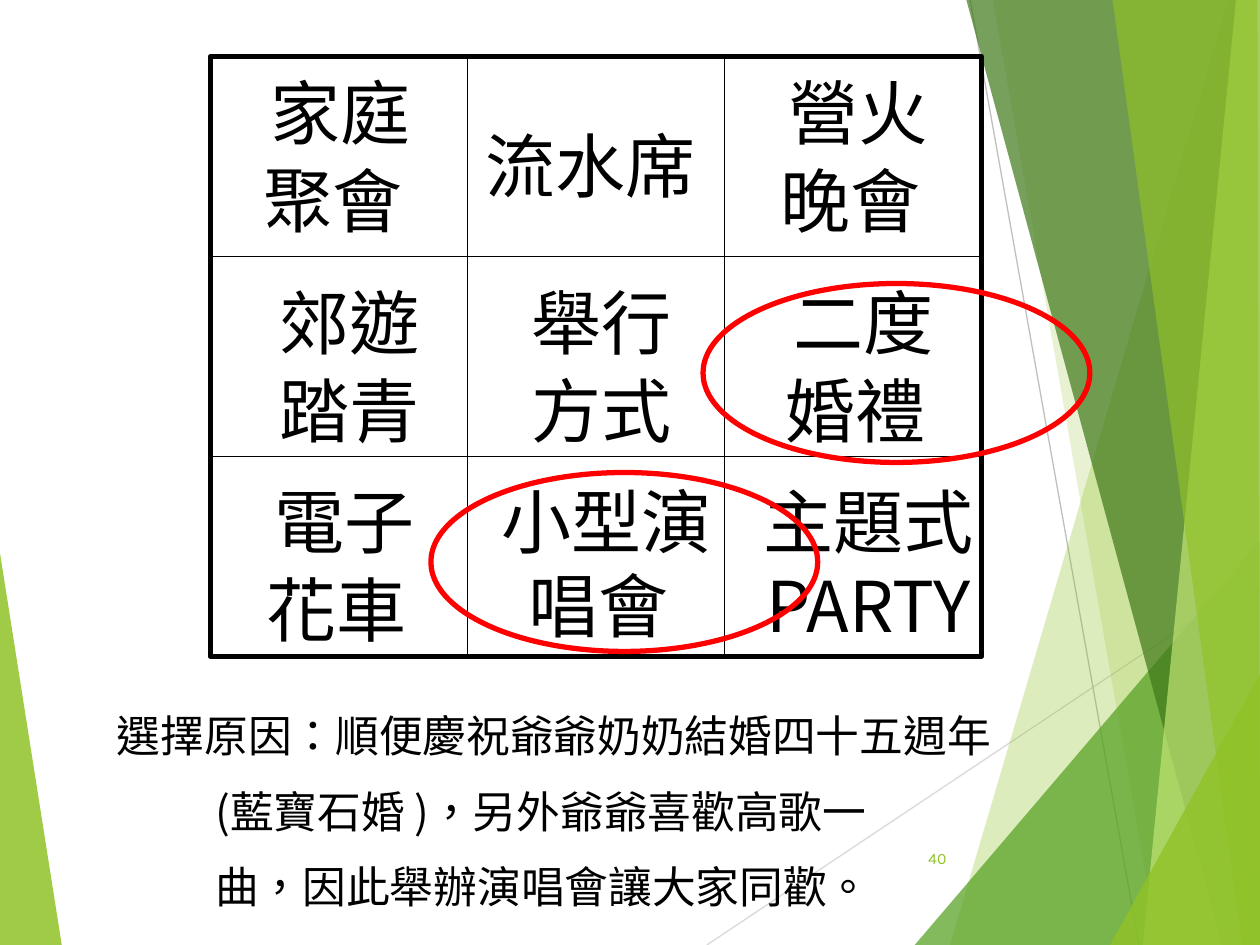
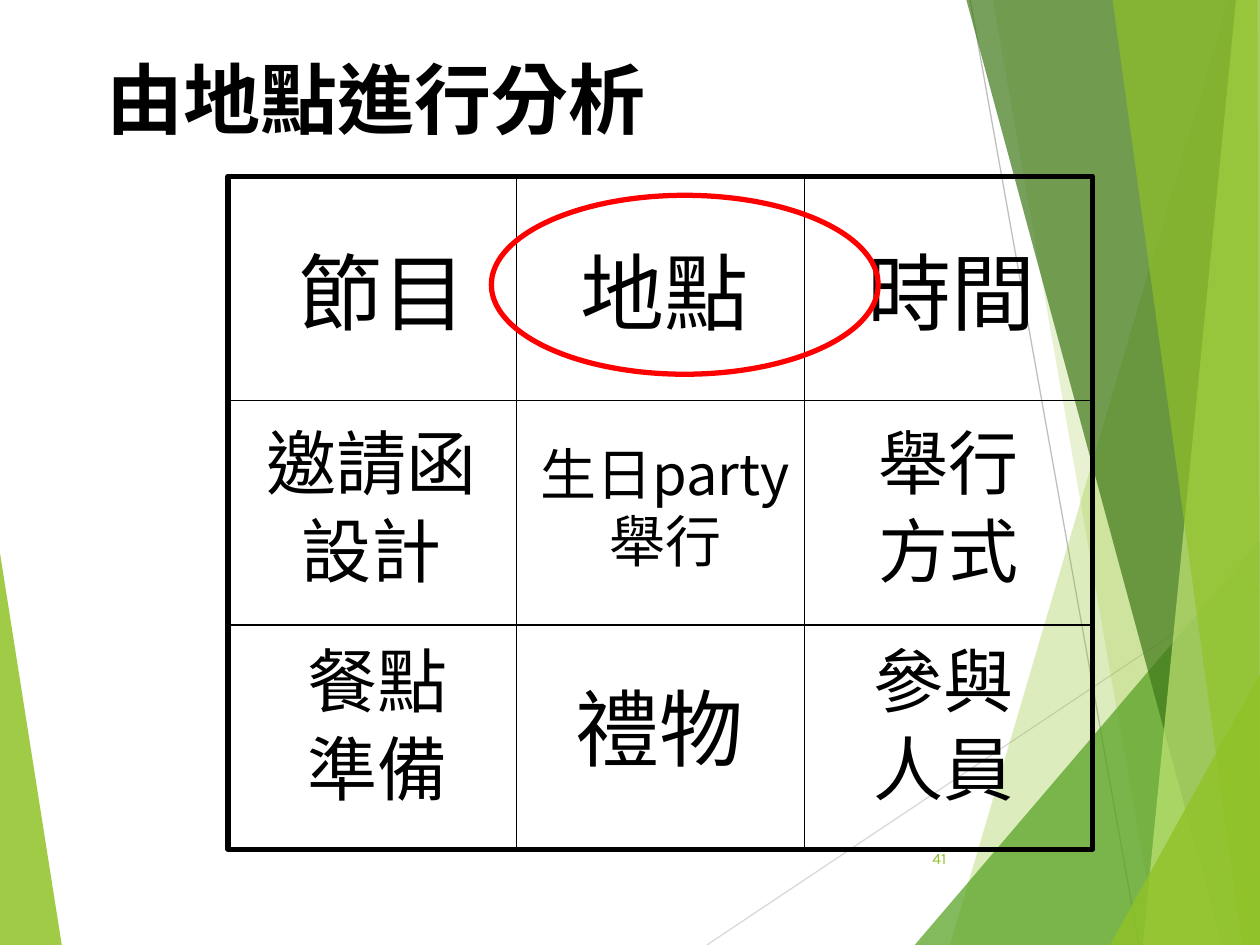
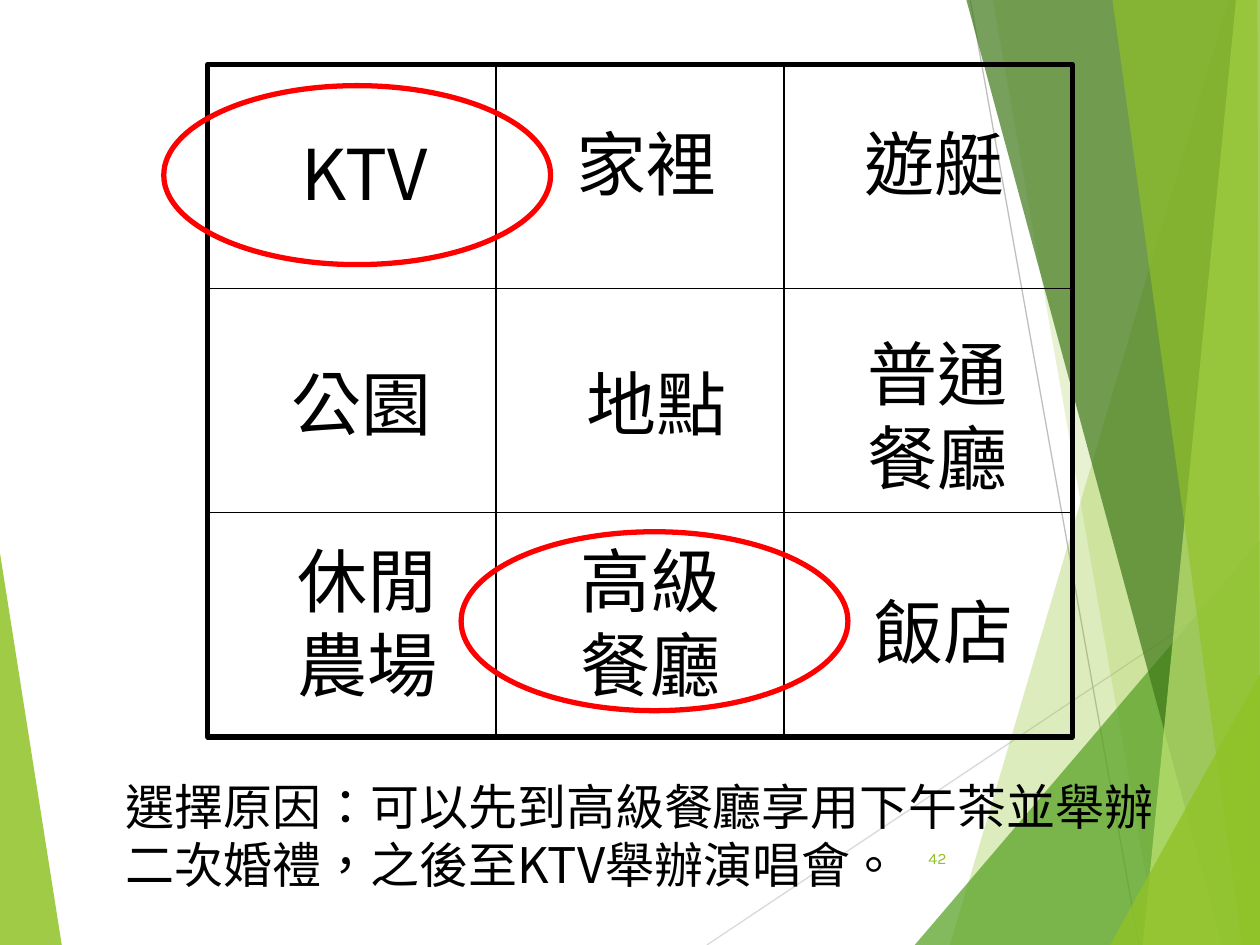
from lxml import etree
from pptx import Presentation
from pptx.dml.color import RGBColor
from pptx.enum.shapes import MSO_CONNECTOR, MSO_SHAPE
from pptx.enum.text import MSO_ANCHOR, MSO_AUTO_SIZE, PP_ALIGN
from pptx.oxml.ns import qn
from pptx.util import Inches, Pt

CJK_FONT = "Noto Sans CJK SC"
BLACK, RED, LIME = "000000", "FF0000", "90C226"
GREEN, DARK_GREEN, PALE_GREEN = "54A021", "3F7819", "C0E474"
RING_SIZE = (3.07, 1.42)

# Outline points, colour, opacity in percent
LEFT_FACET = ([(0, 4.39), (0.49, 7.5), (0, 7.5)], LIME, 85)
RIGHT_FACETS = [
    ([(9.75, 0), (7.54, 7.5), (10, 7.5), (10, 0)], LIME, 30),
    ([(7.88, 0), (9.19, 7.5), (10, 7.5), (10, 0)], LIME, 20),
    ([(7.26, 7.5), (10, 4.29), (10, 7.5)], GREEN, 72),
    ([(7.67, 0), (9.7, 7.5), (10, 7.5), (10, 0)], DARK_GREEN, 70),
    ([(9.81, 0), (9.07, 7.5), (10, 7.5), (10, 0)], PALE_GREEN, 70),
    ([(8.83, 0), (9.86, 7.5), (10, 7.5), (9.98, 0)], LIME, 65),
    ([(8.81, 7.5), (10, 5.35), (10, 7.5)], LIME, 80),
]

# Text, box (left, top, width, height), size
METHOD_CELLS = [
    ("營火\n晚會 ", (5.83, 0.5, 1.97, 1.47), 40),
    ("流水席 ", (3.75, 0.92, 2, 0.77), 40),
    ("郊遊\n踏青", (1.67, 2.17, 2.2, 1.47), 40),
    ("家庭\n聚會 ", (1.92, 0.5, 1.57, 1.47), 40),
    ("電子\n花車 ", (1.67, 3.75, 2.13, 1.47), 40),
    ("小型演唱會 ", (3.67, 3.75, 2.28, 1.43), 40),
    ("主題式PARTY", (5.83, 3.75, 2.13, 1.43), 40),
    ("二度\n婚禮 ", (5.75, 2.17, 2.21, 1.47), 40),
    ("舉行\n方式", (3.67, 2.17, 2.21, 1.47), 40),
]
PARTY_CELLS = [
    ("時間", (6.57, 1.86, 1.97, 0.9), 48),
    ("地點", (4.29, 1.86, 1.97, 0.9), 48),
    ("邀請函\n設計", (1.85, 3.28, 2.2, 1.47), 40),
    ("節目", (2.09, 1.86, 1.89, 0.9), 48),
    ("餐點\n準備", (1.93, 5.01, 2.13, 1.47), 40),
    ("禮物", (4.21, 5.32, 2.05, 0.9), 48),
    ("參與\n人員", (6.42, 5.01, 2.13, 1.47), 40),
    ("舉行\n方式", (6.42, 3.28, 2.21, 1.47), 40),
    ("生日party舉行", (4.06, 3.44, 2.44, 1.17), 32),
]
PLACE_CELLS = [
    ("遊艇", (6.58, 0.91, 1.68, 0.75), 40),
    ("家裡", (4.29, 0.91, 1.68, 0.75), 40),
    ("公園", (1.93, 2.81, 1.88, 0.75), 40),
    ("KTV", (2.09, 0.99, 1.61, 0.75), 40),
    ("休閒\n農場", (2.01, 4.22, 1.81, 1.42), 40),
    ("高級餐廳", (4.29, 4.22, 1.74, 1.42), 40),
    ("飯店", (6.58, 4.62, 1.81, 0.75), 40),
    ("普通\n餐廳", (6.5, 2.57, 1.88, 1.42), 40),
    ("地點", (4.37, 2.81, 1.68, 0.75), 40),
]


def rgb(value):
    return RGBColor.from_string(value)


def add_text(slide, text, box, size=40, font=CJK_FONT, color=BLACK, bold=False,
             align=PP_ALIGN.LEFT, anchor=MSO_ANCHOR.TOP, gap=0, hang=0, grow=True):
    """Add one paragraph per line; gap (points) and hang (inches) apply after the first."""
    frame = slide.shapes.add_textbox(*map(Inches, box)).text_frame
    frame.word_wrap = True
    frame.auto_size = MSO_AUTO_SIZE.SHAPE_TO_FIT_TEXT if grow else MSO_AUTO_SIZE.NONE
    frame.vertical_anchor = anchor
    for index, line in enumerate(text.split("\n")):
        paragraph = frame.add_paragraph() if index else frame.paragraphs[0]
        paragraph.alignment = align
        if index:
            paragraph.space_before = Pt(gap)
            paragraph._p.get_or_add_pPr().set("marL", str(Inches(hang)))
        run = paragraph.add_run()
        run.text = line
        run.font.size, run.font.name, run.font.bold = Pt(size), font, bold
        run.font.color.rgb = rgb(color)
        properties = run._r.get_or_add_rPr()
        properties.set("lang", "zh-TW")
        latin = properties.find(qn("a:latin"))
        east_asian = etree.Element(qn("a:ea"), typeface=CJK_FONT)
        latin.addnext(east_asian)


def add_line(slide, start, end, color=BLACK):
    line = slide.shapes.add_connector(
        MSO_CONNECTOR.STRAIGHT, *map(Inches, (*start, *end)))
    line.line.color.rgb = rgb(color)
    line.line.width = Pt(0.75)
    etree.SubElement(line._element.spPr, qn("a:effectLst"))


def add_outline(slide, kind, box, color):
    shape = slide.shapes.add_shape(kind, *map(Inches, box))
    shape.shadow.inherit = False
    shape.fill.background()
    shape.line.color.rgb = rgb(color)
    shape.line.width = Pt(3)


def add_facet(slide, points, color, opacity):
    start, *others = [(Inches(x), Inches(y)) for x, y in points]
    builder = slide.shapes.build_freeform(*start)
    builder.add_line_segments(others, close=True)
    shape = builder.convert_to_shape()
    shape.shadow.inherit = False
    shape.line.fill.background()
    shape.fill.solid()
    shape.fill.fore_color.rgb = rgb(color)
    color_element = shape._element.spPr.find(".//" + qn("a:srgbClr"))
    etree.SubElement(color_element, qn("a:alpha"), val=str(opacity * 1000))


def add_base_slide(presentation, number):
    """Add a slide with the shared green facets and its page number."""
    slide = presentation.slides.add_slide(presentation.slide_layouts[6])
    add_facet(slide, *LEFT_FACET)
    add_line(slide, (5.61, 7.5), (10, 4.57), "D9D9D9")
    add_line(slide, (7.7, 0), (9.04, 7.5), "BFBFBF")
    for facet in RIGHT_FACETS:
        add_facet(slide, *facet)
    add_text(slide, str(number), (7.05, 6.61, 0.56, 0.4), size=9, font="Karla",
             color=LIME, align=PP_ALIGN.RIGHT, anchor=MSO_ANCHOR.MIDDLE, grow=False)
    return slide


def add_nine_grid(slide, box, cells, rings, gap=2.4):
    """Draw a three by three frame, its labels and the red rings around choices."""
    left, top, width, height = box
    add_outline(slide, MSO_SHAPE.RECTANGLE, box, BLACK)
    for third in (1, 2):
        y = top + height * third / 3
        add_line(slide, (left, y), (left + width, y))
    for third in (1, 2):
        x = left + width * third / 3
        add_line(slide, (x, top), (x, top + height))
    for text, cell_box, size in cells:
        add_text(slide, text, cell_box, size=size, align=PP_ALIGN.CENTER, gap=gap)
    for corner in rings:
        add_outline(slide, MSO_SHAPE.OVAL, (*corner, *RING_SIZE), RED)


def main():
    presentation = Presentation()
    presentation.slide_width = Inches(10)
    presentation.slide_height = Inches(7.5)

    method = add_base_slide(presentation, 40)
    add_nine_grid(method, (1.67, 0.45, 6.12, 4.76), METHOD_CELLS,
                  [(5.58, 2.25), (3.42, 3.75)])
    add_text(method, "選擇原因：順便慶祝爺爺奶奶結婚四十五週年\n"
                     "(藍寶石婚 )，另外爺爺喜歡高歌一\n"
                     "曲，因此舉辦演唱會讓大家同歡。",
             (0.83, 5.58, 8.51, 1.77), size=25, gap=13, hang=0.78)

    party = add_base_slide(presentation, 41)
    add_nine_grid(party, (1.81, 1.4, 6.86, 5.34), PARTY_CELLS, [(3.9, 1.55)])
    add_text(party, "由地點進行分析", (0.75, 0.36, 5.51, 0.83),
             size=44, font="Arial", bold=True)

    place = add_base_slide(presentation, 42)
    add_nine_grid(place, (1.65, 0.51, 6.86, 5.34), PLACE_CELLS,
                  [(1.3, 0.68), (3.66, 4.22)], gap=0)
    add_text(place, "選擇原因：可以先到高級餐廳享用下午茶並舉辦二次婚禮，之後至KTV舉辦演唱會。",
             (0.9, 6.11, 8.51, 1.03), size=28)

    presentation.save("out.pptx")


if __name__ == "__main__":
    main()
